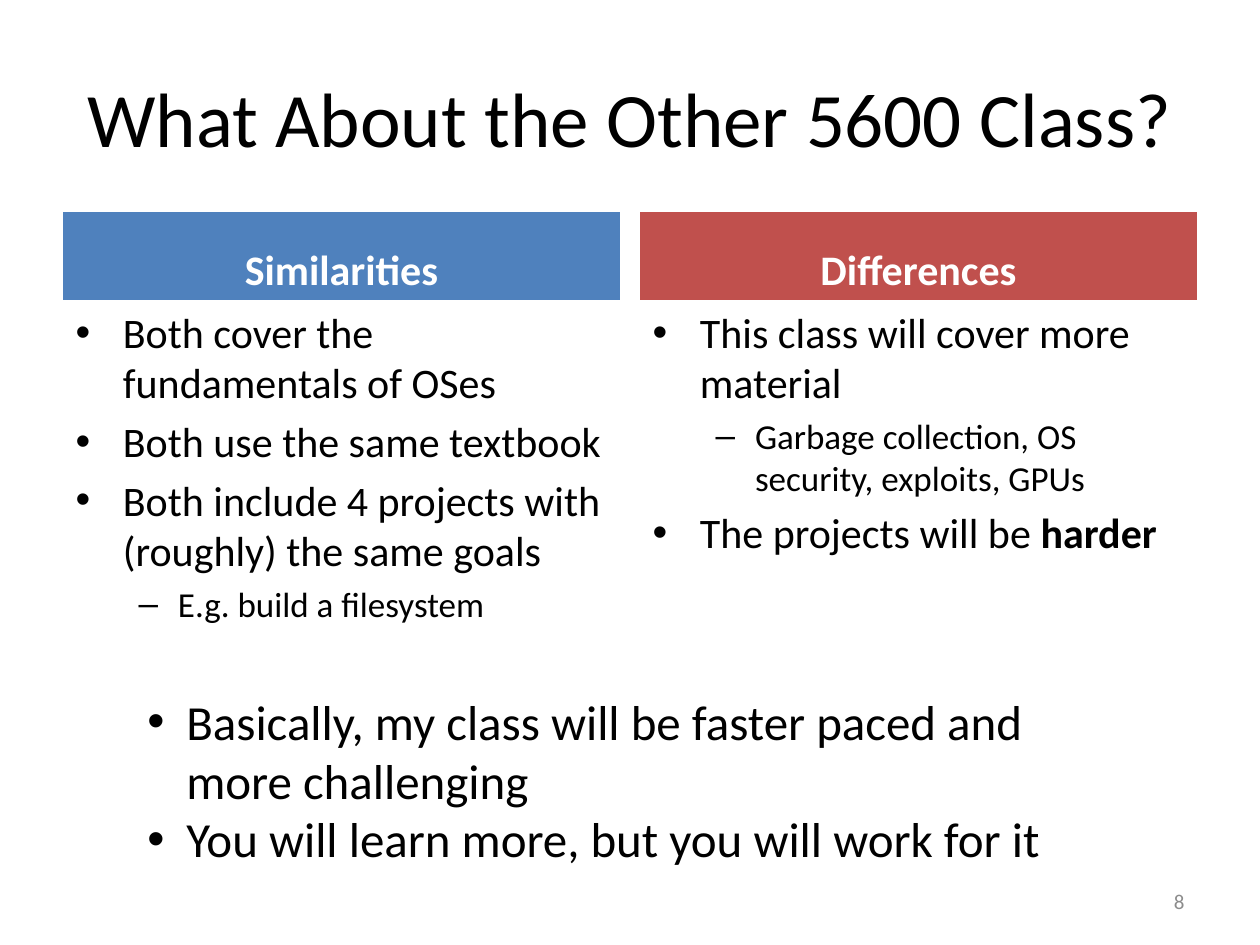
from lxml import etree
from pptx import Presentation
from pptx import util as u
from pptx.dml.color import RGBColor
from pptx.enum import text
from pptx.oxml.ns import qn

SCALE = 914400 / 126
HUES = {"ink": "000000", "paper": "FFFFFF", "blue": "4F81BD",
        "red": "C0504D", "gray": "8C8C8C"}
ALIGN, ANCHOR = text.PP_ALIGN, text.MSO_ANCHOR
SIZES = (24, 20)
COLUMNS = (
    ("Similarities", "blue", (
        (0, "Both cover the fundamentals of OSes"),
        (0, "Both use the same textbook"),
        (0, "Both include 4 projects with (roughly) the same goals"),
        (1, "E.g. build a filesystem"))),
    ("Differences", "red", (
        (0, "This class will cover more material"),
        (1, "Garbage collection, OS security, exploits, GPUs"),
        (0, "The projects will be ", "harder"))),
)
CLOSING = ("Basically, my class will be faster paced and more challenging",
           "You will learn more, but you will work for it")


def px(count):
    """Turn pixels into EMU."""
    return round(count * SCALE)


def apply(item, **values):
    """Set each given attribute on the item."""
    for name, value in values.items():
        setattr(item, name, value)


def place(shape, left, top, width, height):
    """Move and size a shape in pixels."""
    apply(shape, left=px(left), top=px(top), width=px(width), height=px(height))


def write(par, words, size, hue="ink", bold=False):
    """Add one formatted run to a paragraph."""
    run = par.add_run()
    run.text = words
    apply(run.font, name="Calibri", size=u.Pt(size), bold=bold)
    run.font.color.rgb = RGBColor.from_string(HUES[hue])


def lines(frame, count):
    """Return the given number of paragraphs of a frame."""
    return [frame.paragraphs[0]] + [frame.add_paragraph() for _ in range(count - 1)]


def label(shape, box, words, size, hue="ink", bold=False,
          align=ALIGN.CENTER, anchor=ANCHOR.MIDDLE):
    """Fill a shape with one aligned line."""
    place(shape, *box)
    apply(shape.text_frame, word_wrap=True, vertical_anchor=anchor)
    par = shape.text_frame.paragraphs[0]
    par.alignment = align
    write(par, words, size, hue, bold)


def outline(shape, box, items):
    """Fill a body placeholder with a two-level list."""
    place(shape, *box)
    for par, (level, words, *strong) in zip(lines(shape.text_frame, len(items)), items):
        par.level = level
        write(par, words, SIZES[level])
        for part in strong:
            write(par, part, SIZES[level], bold=True)


def bullets(shape, items, size, indent):
    """Fill a text box with a bulleted list."""
    frame = shape.text_frame
    apply(frame, word_wrap=True, auto_size=text.MSO_AUTO_SIZE.SHAPE_TO_FIT_TEXT)
    for par, words in zip(lines(frame, len(items)), items):
        write(par, words, size)
        props = par._p.get_or_add_pPr()
        props.set("marL", str(px(indent)))
        props.set("indent", str(-px(indent)))
        etree.SubElement(props, qn("a:buFont")).set("typeface", "Arial")
        etree.SubElement(props, qn("a:buChar")).set("char", "•")


def main():
    """Build the comparison slide."""
    deck = Presentation()
    apply(deck, slide_width=px(1260), slide_height=px(945))
    slide = deck.slides.add_slide(deck.slide_layouts[4])
    title, *bodies = slide.placeholders
    label(title, (63, 38, 1134, 158), "What About the Other 5600 Class?", 44)
    for col, (name, hue, items) in enumerate(COLUMNS):
        head, body = bodies[2 * col:2 * col + 2]
        left = 63 + 577 * col
        label(head, (left, 212, 557, 88), name, 24, "paper", True,
              anchor=ANCHOR.BOTTOM)
        head.fill.solid()
        head.fill.fore_color.rgb = RGBColor.from_string(HUES[hue])
        outline(body, (left, 300, 557, 339), items)
    add = slide.shapes.add_textbox
    label(add(0, 0, 0, 0), (903, 876, 294, 50), "8", 12, "gray", align=ALIGN.RIGHT)
    note = add(0, 0, 0, 0)
    place(note, 135, 685, 944, 190)
    bullets(note, CLOSING, 28, 39)
    deck.save("out.pptx")


if __name__ == "__main__":
    main()
